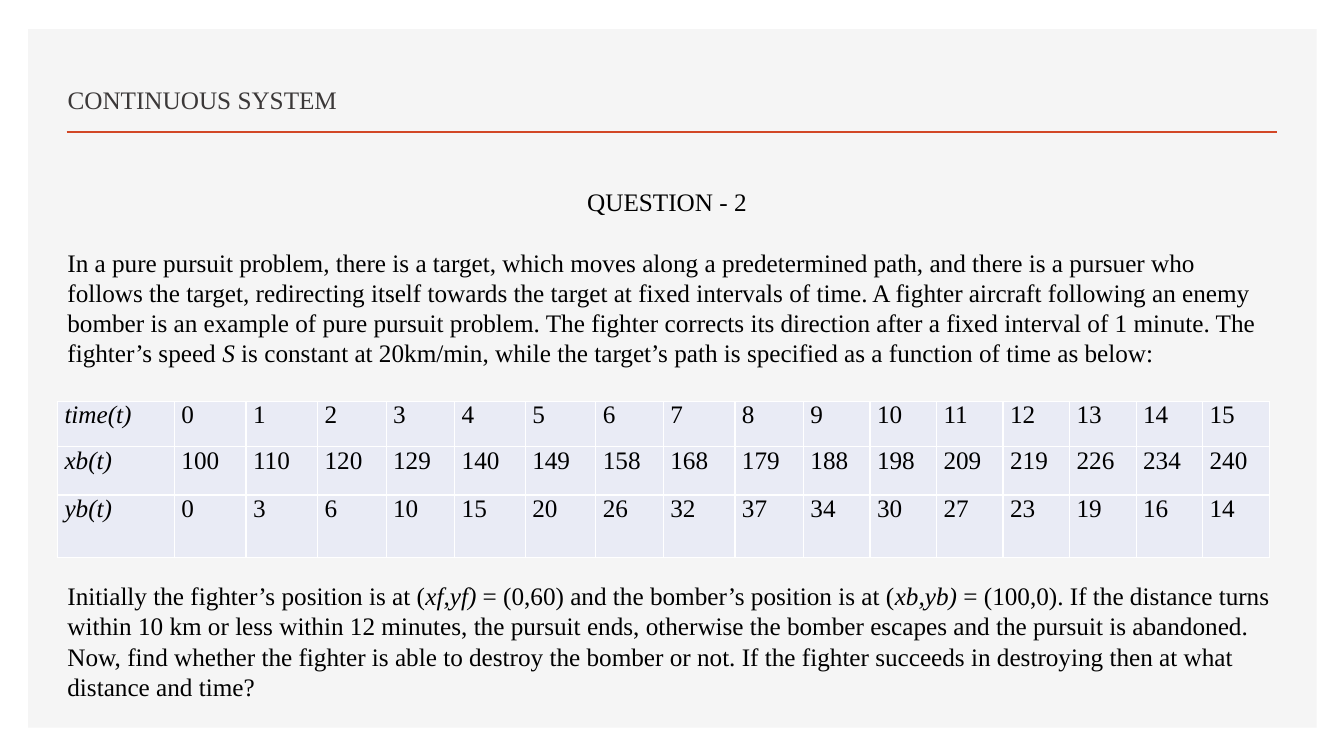
from lxml.etree import SubElement as Sub
from pptx import Presentation
from pptx.dml.color import RGBColor
from pptx.enum.shapes import MSO_CONNECTOR as Conn, MSO_SHAPE as Shape
from pptx.enum.text import MSO_ANCHOR as Anchor, MSO_AUTO_SIZE as Auto, PP_ALIGN as Align
from pptx.oxml.ns import qn
from pptx.util import Inches, Pt

WHITE = RGBColor(0xFF, 0xFF, 0xFF)
PANEL = RGBColor(0xF5, 0xF5, 0xF5)
RULE = RGBColor(0xD2, 0x47, 0x26)
HEAD = RGBColor(0x3B, 0x38, 0x38)
CELL = RGBColor(0xE9, 0xEB, 0xF5)
BLACK = RGBColor(0, 0, 0)

PURSUIT = [
    "In a pure pursuit problem, there is a target, which moves along a predetermined path, "
    "and there is a pursuer who follows the target, redirecting itself towards the target "
    "at fixed intervals of time. A fighter aircraft following an enemy bomber is an example "
    "of pure pursuit problem. The fighter corrects its direction after a fixed interval of "
    "1 minute. The fighter’s speed ",
    "S",
    " is constant at 20km/min, while the target’s path is specified as a function of time as below:",
]
TASK = [
    "Initially the fighter’s position is at (",
    "xf,yf) ",
    "= (0,60) and the bomber’s position is at (",
    "xb,yb) ",
    "= (100,0). If the distance turns within 10 km or less within 12 minutes, the pursuit ends, "
    "otherwise the bomber escapes and the pursuit is abandoned. Now, find whether the fighter is "
    "able to destroy the bomber or not. If the fighter succeeds in destroying then at what "
    "distance and time?",
]
ROWS = [
    ["time(t)", *range(16)],
    ["xb(t)", 100, 110, 120, 129, 140, 149, 158, 168, 179, 188, 198, 209, 219, 226, 234, 240],
    ["yb(t)", 0, 3, 6, 10, 15, 20, 26, 32, 37, 34, 30, 27, 23, 19, 16, 14],
]
WIDTHS = [1.16, 0.71, 0.71, 0.68, 0.68, 0.7, 0.7, 0.67, 0.71, 0.68] + [0.66] * 7
HEIGHTS = [0.45, 0.48, 0.62]


class Page:
    font = "Times New Roman"
    size = Pt(18)

    def __init__(self, deck):
        self.slide = deck.slides.add_slide(deck.slide_layouts[5])
        self.shapes = self.slide.shapes

    def style(self, run, color=BLACK, italic=False):
        run.font.name = self.font
        run.font.size = self.size
        run.font.italic = italic
        run.font.color.rgb = color

    def panel(self, x, y, w, h):
        box = self.shapes.add_shape(Shape.RECTANGLE, Inches(x), Inches(y), Inches(w), Inches(h))
        box.shadow.inherit = False
        box.fill.solid()
        box.fill.fore_color.rgb = PANEL
        box.line.fill.background()

    def rule(self, x, y, end):
        line = self.shapes.add_connector(
            Conn.STRAIGHT, Inches(x), Inches(y), Inches(end), Inches(y))
        line.line.color.rgb = RULE
        line.line.width = Pt(2)
        Sub(line.element.spPr, qn("a:effectLst"))

    def title(self, text, x, y, w, h):
        box = self.shapes.title
        box.element.getparent().append(box.element)
        box.left, box.top, box.width, box.height = map(Inches, (x, y, w, h))
        frame = box.text_frame
        frame.text = text
        frame.auto_size = Auto.NONE
        frame.vertical_anchor = Anchor.BOTTOM
        para = frame.paragraphs[0]
        para.alignment = Align.LEFT
        para.line_spacing = 0.9
        self.style(para.runs[0], HEAD)

    def text(self, paras, x, y, w, h, anchor=Anchor.TOP):
        box = self.shapes.add_textbox(Inches(x), Inches(y), Inches(w), Inches(h))
        frame = box.text_frame
        frame.word_wrap = True
        frame.auto_size = Auto.SHAPE_TO_FIT_TEXT
        frame.vertical_anchor = anchor
        for i, parts in enumerate(paras):
            para = frame.add_paragraph() if i else frame.paragraphs[0]
            for j, part in enumerate(parts):
                run = para.add_run()
                run.text = part
                self.style(run, italic=j % 2 == 1)
        return frame

    def table(self, rows, widths, heights, x, y):
        grid = self.shapes.add_table(
            len(rows), len(widths), Inches(x), Inches(y),
            Inches(sum(widths)), Inches(sum(heights))).table
        grid.first_row = grid.horz_banding = False
        for col, wide in zip(grid.columns, widths):
            col.width = Inches(wide)
        for row, high, data in zip(grid.rows, heights, rows):
            row.height = Inches(high)
            for i, (cell, value) in enumerate(zip(row.cells, data)):
                self.cell(cell, str(value), i == 0)

    def cell(self, cell, text, italic):
        cell.text_frame.text = text
        self.style(cell.text_frame.paragraphs[0].runs[0], italic=italic)
        cell.margin_left = cell.margin_right = Inches(0.07)
        cell.margin_top = cell.margin_bottom = 0
        props = cell._tc.get_or_add_tcPr()
        for side in "LRTB":
            edge = Sub(props, qn(f"a:ln{side}"), w=str(Pt(1)))
            Sub(Sub(edge, qn("a:solidFill")), qn("a:srgbClr"), val=str(WHITE))
        cell.fill.solid()
        cell.fill.fore_color.rgb = CELL


def main():
    deck = Presentation()
    deck.slide_width, deck.slide_height = Inches(13.33), Inches(7.5)
    page = Page(deck)
    page.panel(0.28, 0.29, 12.78, 6.93)
    page.rule(0.66, 1.31, 12.67)
    page.title("CONTINUOUS SYSTEM", 0.57, 0.49, 7.52, 0.7)
    page.table(ROWS, WIDTHS, HEIGHTS, 0.57, 3.98)
    frame = page.text([["QUESTION - 2"], PURSUIT], 0.57, 1.79, 12.09, 1.92, Anchor.MIDDLE)
    frame.paragraphs[0].alignment = Align.CENTER
    frame.paragraphs[1].space_before = Pt(21.5)
    page.text([TASK], 0.57, 5.71, 12.25, 1.31)
    deck.save("out.pptx")


if __name__ == "__main__":
    main()
